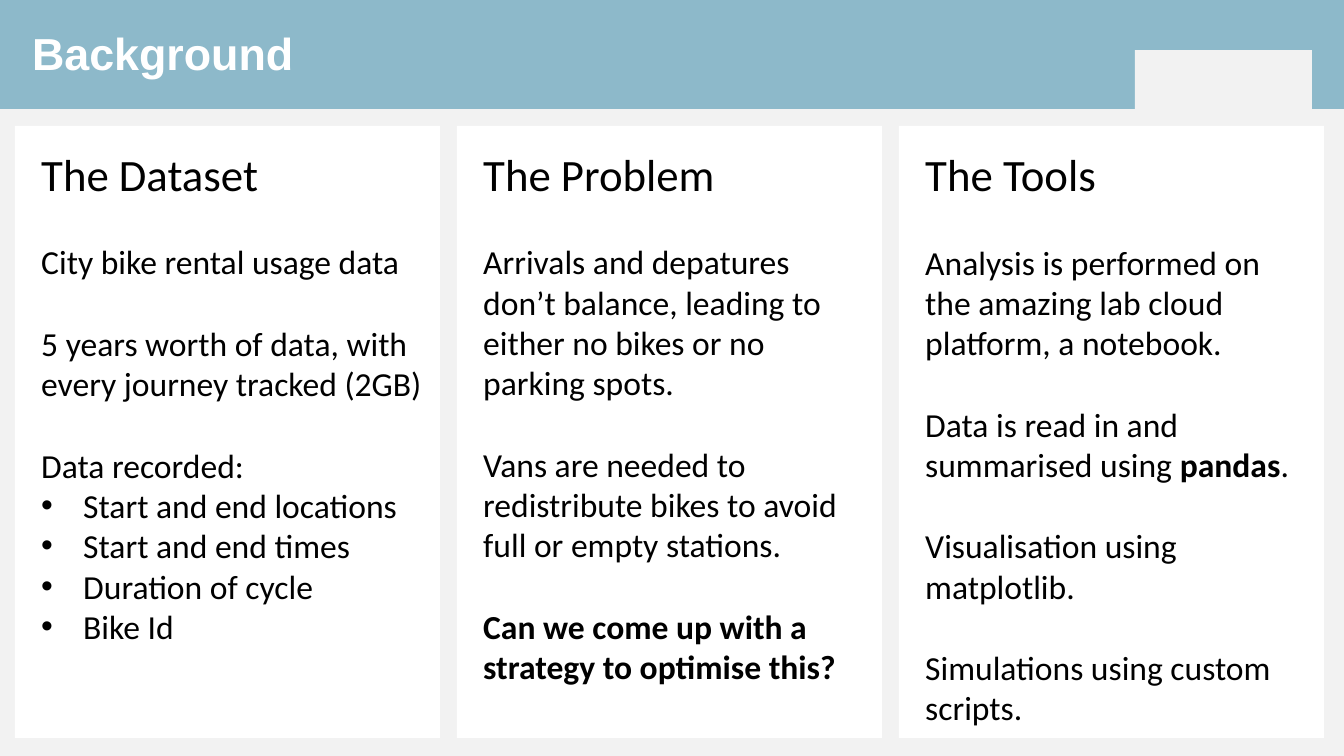
"""Build the Background slide: a banner above three text cards."""
from dataclasses import dataclass

from lxml.etree import SubElement
from pptx import Presentation
from pptx.dml.color import RGBColor as RGB
from pptx.enum.shapes import MSO_SHAPE as Preset
from pptx.enum.text import MSO_ANCHOR as Anchor, MSO_AUTO_SIZE as AutoSize, PP_ALIGN as Align
from pptx.oxml.ns import qn
from pptx.util import Emu, Pt

SLIDE_W, SLIDE_H = 1344, 756
BANNER_H = 109
CARD_X, CARD_Y, CARD_W, CARD_H, CARD_STEP = 15, 126, 425, 612, 442
TEXT_DX, TEXT_DY, TEXT_W = 13, 14, 410
BULLET_INDENT = 42


@dataclass(frozen=True)
class Theme:
    """Colours, fonts and type sizes of the slide."""
    page: RGB = RGB(0xF2, 0xF2, 0xF2)
    banner: RGB = RGB(0x8D, 0xB9, 0xCA)
    card: RGB = RGB(0xFF, 0xFF, 0xFF)
    title: RGB = RGB(0xFF, 0xFF, 0xFF)
    ink: RGB = RGB(0, 0, 0)
    title_font: str = "Arial"
    body_font: str = "Calibri"
    heading_pt: int = 24
    body_pt: int = 18
    gap_pt: int = 22


@dataclass(frozen=True)
class Para:
    """A body paragraph made of plain text, bold text and plain text."""
    text: str = ""
    bold: str = ""
    tail: str = ""
    bullet: bool = False


@dataclass(frozen=True)
class Card:
    """A heading with its paragraphs and the height of their box."""
    heading: str
    text_h: int
    paras: tuple[Para, ...]


THEME = Theme()
CARDS = (
    Card("The Dataset", 516, (
        Para("City bike rental usage data"),
        Para("5 years worth of data, with every journey tracked (2GB)"),
        Para("Data recorded:"),
        Para("Start and end locations", bullet=True),
        Para("Start and end times", bullet=True),
        Para("Duration of cycle", bullet=True),
        Para("Bike Id", bullet=True),
    )),
    Card("The Problem", 556, (
        Para("Arrivals and depatures don’t balance, leading to either no bikes or no parking spots."),
        Para("Vans are needed to redistribute bikes to avoid full or empty stations."),
        Para(bold="Can we come up with a strategy to optimise this?"),
    )),
    Card("The Tools", 597, (
        Para("Analysis is performed on the amazing lab cloud platform, a notebook."),
        Para("Data is read in and summarised using ", "pandas", "."),
        Para("Visualisation using matplotlib."),
        Para("Simulations using custom scripts."),
    )),
)


def px(n: int) -> Emu:
    """Turn slide pixels into EMU."""
    return Emu(round(n * 914400 / 134.4))


def add_block(s, x: int, y: int, w: int, h: int, color: RGB) -> None:
    """Draw a plain filled rectangle."""
    sp = s.shapes.add_shape(Preset.RECTANGLE, px(x), px(y), px(w), px(h))
    sp.shadow.inherit = False
    sp.fill.solid()
    sp.fill.fore_color.rgb = color
    sp.line.fill.background()


def style(font, name: str, size: int, color: RGB, bold: bool = False) -> None:
    """Set the look of a font."""
    font.name, font.size, font.bold = name, Pt(size), bold
    font.color.rgb = color


def add_bullet(p) -> None:
    """Give a paragraph a hanging round bullet."""
    pPr = p._p.get_or_add_pPr()
    pPr.set("marL", str(px(BULLET_INDENT)))
    pPr.set("indent", str(-px(BULLET_INDENT)))
    SubElement(pPr, qn("a:buFont"), typeface="Arial")
    SubElement(pPr, qn("a:buChar"), char="•")


def add_para(tf, para: Para) -> None:
    """Append a body paragraph to a text frame."""
    p = tf.add_paragraph()
    if para.bullet:
        add_bullet(p)
    else:
        p.space_before = Pt(THEME.gap_pt)
    for text, bold in ((para.text, False), (para.bold, True), (para.tail, False)):
        if text:
            r = p.add_run()
            r.text = text
            style(r.font, THEME.body_font, THEME.body_pt, THEME.ink, bold)


def add_card(s, x: int, card: Card) -> None:
    """Draw a card and its text."""
    add_block(s, x, CARD_Y, CARD_W, CARD_H, THEME.card)
    box = s.shapes.add_textbox(px(x + TEXT_DX), px(CARD_Y + TEXT_DY), px(TEXT_W), px(card.text_h))
    tf = box.text_frame
    tf.word_wrap = True
    tf.text = card.heading
    style(tf.paragraphs[0].runs[0].font, THEME.body_font, THEME.heading_pt, THEME.ink)
    for para in card.paras:
        add_para(tf, para)


def set_title(s, text: str) -> None:
    """Place the title on top of the banner."""
    sp = s.shapes.title
    sp.element.getparent().append(sp.element)
    sp.left, sp.top, sp.width, sp.height = px(32), px(31), px(806), px(43)
    tf = sp.text_frame
    tf.margin_left = tf.margin_right = tf.margin_top = tf.margin_bottom = 0
    tf.auto_size, tf.vertical_anchor = AutoSize.NONE, Anchor.MIDDLE
    tf.text = text
    p = tf.paragraphs[0]
    p.alignment = Align.LEFT
    style(p.runs[0].font, THEME.title_font, THEME.heading_pt, THEME.title, True)


def main() -> None:
    """Build and save the slide."""
    prs = Presentation()
    prs.slide_width, prs.slide_height = px(SLIDE_W), px(SLIDE_H)
    s = prs.slides.add_slide(prs.slide_layouts.get_by_name("Title Only"))
    s.background.fill.solid()
    s.background.fill.fore_color.rgb = THEME.page
    add_block(s, 0, 0, SLIDE_W, BANNER_H, THEME.banner)
    add_block(s, 1135, 50, 177, BANNER_H - 50, THEME.page)
    set_title(s, "Background")
    for i, card in enumerate(CARDS):
        add_card(s, CARD_X + i * CARD_STEP, card)
    prs.save("out.pptx")


if __name__ == "__main__":
    main()
